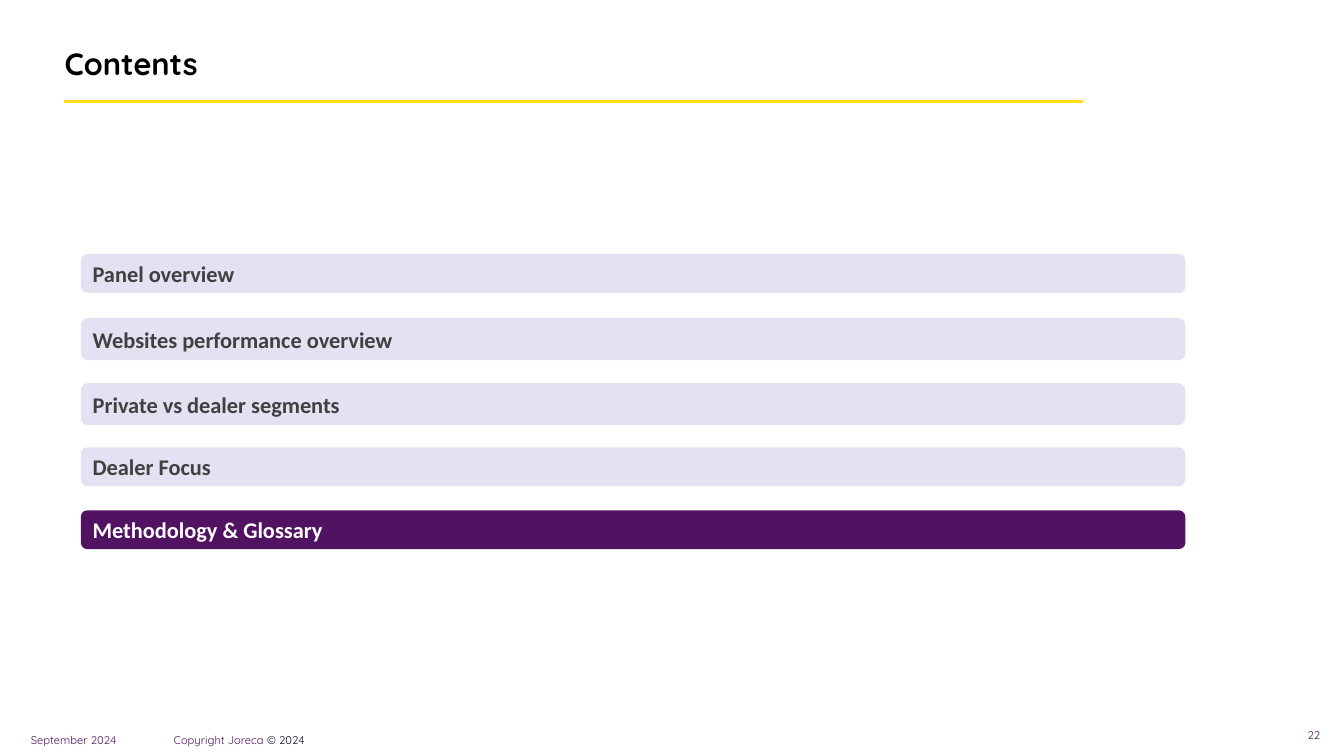
from pptx import Presentation
from pptx import util as u
from pptx.dml.color import RGBColor
from pptx.enum import shapes, text
from pptx.oxml.ns import qn
from lxml import etree

PX = 9525  # EMU per px: 1280 x 720 px slide
PURPLE, LILAC, GREY = "521262", "E2E2F2", "404040"


def px(*vals):
    return [u.Emu(v * PX) for v in vals]


def rgb(code):
    return RGBColor.from_string(code)


class Page:
    """Holds the style and the current slide."""
    head, body = "Quicksand", "Calibri"

    def __init__(self, deck):
        self.slide = deck.slides.add_slide(deck.slide_layouts[5])
        self.items = self.slide.shapes

    def label(self, shape, parts, font, size, bold=False,
              align=text.PP_ALIGN.LEFT):
        """Fill one paragraph with (words, colour) parts."""
        frame = shape.text_frame
        frame.word_wrap = True
        frame.auto_size = text.MSO_AUTO_SIZE.NONE
        frame.vertical_anchor = text.MSO_ANCHOR.MIDDLE
        para = frame.paragraphs[0]
        para.alignment = align
        para.font.name, para.font.size, para.font.bold = font, u.Pt(size), bold
        for words, color in parts:
            run = para.add_run()
            run.text = words
            run.font.color.rgb = rgb(color)
        return para

    def title(self, words, *box):
        shape = self.items.title
        shape.left, shape.top, shape.width, shape.height = px(*box)
        para = self.label(shape, [(words, "000000")], self.head, 22, True)
        para.line_spacing = 0.9

    def rule(self, x1, y1, x2, y2, color, width):
        line = self.items.add_connector(
            shapes.MSO_CONNECTOR.STRAIGHT, *px(x1, y1, x2, y2))
        line.line.color.rgb = rgb(color)
        line.line.width = u.Pt(width)
        etree.SubElement(line._element.spPr, qn("a:effectLst"))

    def note(self, parts, *box, align=text.PP_ALIGN.LEFT):
        shape = self.items.add_textbox(*px(*box))
        self.label(shape, parts, self.head, 8, align=align)

    def bar(self, words, top, high, fill, color):
        shape = self.items.add_shape(
            shapes.MSO_SHAPE.ROUNDED_RECTANGLE, *px(77, top, 1052, high))
        shape.shadow.inherit = False
        shape.fill.solid()
        shape.fill.fore_color.rgb = rgb(fill)
        shape.line.fill.background()
        self.label(shape, [(words, color)], self.body, 16, True)


def main():
    deck = Presentation()
    deck.slide_width, deck.slide_height = px(1280, 720)
    page = Page(deck)

    # Heading
    page.title("Contents", 52, 33, 996, 59)
    page.rule(61, 97, 1031, 97, "FFDC17", 2.25)

    # Agenda, with the current chapter in purple
    agenda = [
        ("Panel overview", 242, 37),
        ("Websites performance overview", 303, 40),
        ("Private vs dealer segments", 365, 40),
        ("Dealer Focus", 426, 37),
        ("Methodology & Glossary", 486, 37),
    ]
    now = "Methodology & Glossary"
    for words, top, high in agenda:
        fill, color = (PURPLE, "FFFFFF") if words == now else (LILAC, GREY)
        page.bar(words, top, high, fill, color)

    # Footer
    page.note([("September 2024", PURPLE)], 20, 686, 113, 38)
    page.note([("Copyright Joreca ", PURPLE), ("© 2024", "040C28")],
              156, 686, 432, 38)
    page.note([("22", PURPLE)], 979, 681, 288, 38,
              align=text.PP_ALIGN.RIGHT)

    deck.save("out.pptx")


if __name__ == "__main__":
    main()
